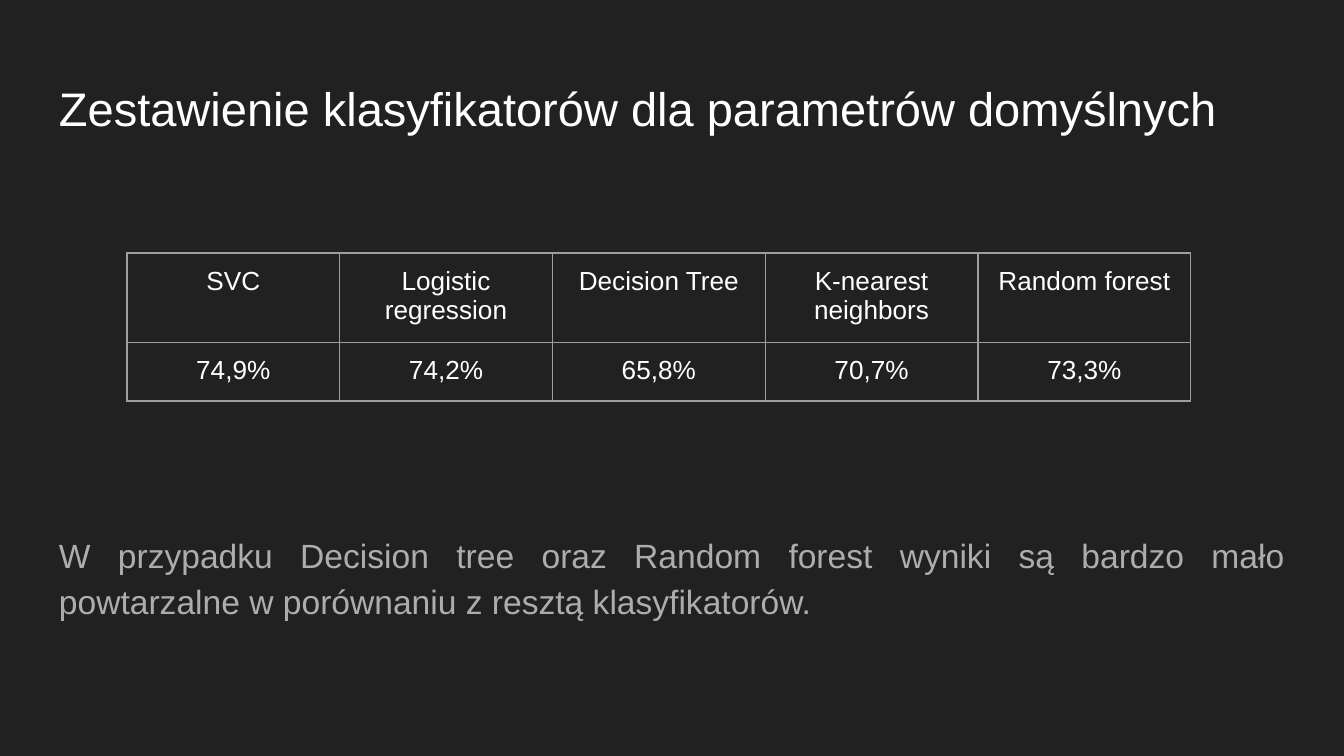
from lxml.etree import SubElement
from pptx import Presentation
from pptx.dml.color import RGBColor
from pptx.enum.text import MSO_ANCHOR, PP_ALIGN
from pptx.oxml.ns import qn
from pptx.util import Pt

COLORS = {"background": "212121", "text": "FFFFFF", "muted": "ADADAD", "border": "9E9E9E"}
PADDING = 7.2
RESULTS = {
    "SVC": "74,9%",
    "Logistic regression": "74,2%",
    "Decision Tree": "65,8%",
    "K-nearest neighbors": "70,7%",
    "Random forest": "73,3%",
}


def write_text(tf, text, size=14, color="text", align=PP_ALIGN.LEFT, spacing=1.0):
    """Write one formatted paragraph into a text frame."""
    tf.word_wrap = True
    p = tf.paragraphs[0]
    p.alignment = align
    p.line_spacing = spacing
    r = p.add_run()
    r.text = text
    r.font.name = "Arial"
    r.font.size = Pt(size)
    r.font.color.rgb = RGBColor.from_string(COLORS[color])


def set_padding(holder):
    """Set equal inner margins on a cell or text frame."""
    for side in ("left", "top", "right", "bottom"):
        setattr(holder, f"margin_{side}", Pt(PADDING))


def set_borders(cell, width=0.75):
    """Draw a thin line on each side of a cell."""
    tc_pr = cell._tc.get_or_add_tcPr()
    for index, side in enumerate(("lnL", "lnR", "lnT", "lnB")):
        line = tc_pr.makeelement(qn(f"a:{side}"), {"w": str(Pt(width))})
        fill = SubElement(line, qn("a:solidFill"))
        SubElement(fill, qn("a:srgbClr"), val=COLORS["border"])
        tc_pr.insert(index, line)


def add_text(s, box, text, anchor=MSO_ANCHOR.TOP, **fmt):
    """Add a padded text box that fills the given box."""
    tf = s.shapes.add_textbox(*map(Pt, box)).text_frame
    set_padding(tf)
    tf.vertical_anchor = anchor
    write_text(tf, text, **fmt)


def add_results(s, box, results, header_height):
    """Add the table of classifiers and their accuracy."""
    left, top, width, height = box
    table = s.shapes.add_table(2, len(results), *map(Pt, box)).table
    for column in table.columns:
        column.width = Pt(width / len(results))
    table.rows[0].height = Pt(header_height)
    table.rows[1].height = Pt(height - header_height)
    for row, texts in enumerate((results.keys(), results.values())):
        for col, text in enumerate(texts):
            cell = table.cell(row, col)
            cell.fill.background()
            set_padding(cell)
            set_borders(cell)
            write_text(cell.text_frame, text, align=PP_ALIGN.CENTER)


def main():
    """Build and save the slide."""
    prs = Presentation()
    prs.slide_width, prs.slide_height = Pt(720), Pt(405)
    s = prs.slides.add_slide(prs.slide_layouts[6])
    s.background.fill.solid()
    s.background.fill.fore_color.rgb = RGBColor.from_string(COLORS["background"])
    add_text(s, (24.5, 35, 671, 45.5), "Zestawienie klasyfikatorów dla parametrów domyślnych",
             anchor=MSO_ANCHOR.MIDDLE, size=25.2)
    add_results(s, (68, 135.5, 570, 76), RESULTS, header_height=45.6)
    add_text(s, (24.5, 276, 671, 84),
             "W przypadku Decision tree oraz Random forest wyniki są bardzo mało "
             "powtarzalne w porównaniu z resztą klasyfikatorów.",
             size=18, color="muted", align=PP_ALIGN.JUSTIFY, spacing=1.15)
    prs.save("out.pptx")


if __name__ == "__main__":
    main()
